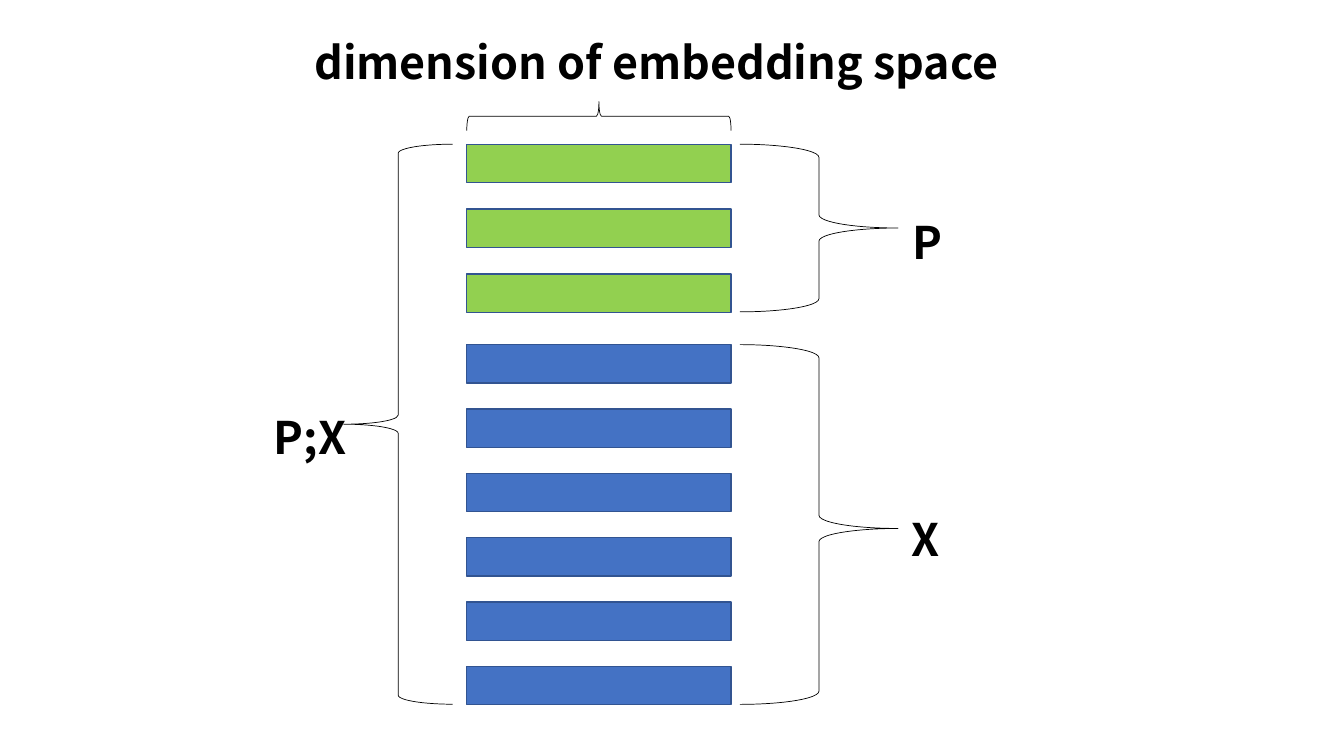
from pptx import Presentation, util as u
from pptx.dml.color import RGBColor
from pptx.enum import shapes, text

FONT = "Noto Sans CJK SC"
LEFT, WIDE, HIGH = 333.4, 188.8, 27.4
ROWS = [
    ("4472C4", 6, 246.2, 45.94),
    ("92D050", 3, 103, 46.4),
]
BRACES = [
    ("RIGHT_BRACE", (528.5, 246.2, 113, 257), 0, 0.511),
    ("RIGHT_BRACE", (528.5, 103, 113, 119.8), 0, 0.5),
    ("LEFT_BRACE", (245.5, 103, 77.8, 400), 0, 0.5),
    ("LEFT_BRACE", (417.4, -11.4, 20.8, WIDE), 90, 0.5),
]
LABELS = [
    ("P;X", (188.6, 289.4, 70.6, 46.1)),
    ("P", (644.4, 149.8, 67, 46.1)),
    ("X", (643.7, 362.2, 47.5, 46.1)),
    ("dimension of embedding space", (217.4, 21.6, 509, 46.1)),
]


def paint(part, color):
    part.solid()
    part.fore_color.rgb = RGBColor.from_string(color)


def draw(kind, box, fill, line, width):
    item = slide.shapes.add_shape(
        getattr(shapes.MSO_SHAPE, kind), *map(u.Pt, box))
    item.shadow.inherit = False
    if fill:
        paint(item.fill, fill)
    else:
        item.fill.background()
    paint(item.line.fill, line)
    item.line.width = u.Pt(width)
    return item


def label(words, box):
    frame = slide.shapes.add_textbox(*map(u.Pt, box)).text_frame
    frame.word_wrap = True
    frame.auto_size = text.MSO_AUTO_SIZE.SHAPE_TO_FIT_TEXT
    run = frame.paragraphs[0].add_run()
    run.text = words
    run.font.name = FONT
    run.font.size = u.Pt(32)
    run.font.bold = True
    paint(run.font.fill, "000000")


deck = Presentation()
deck.slide_width, deck.slide_height = u.Pt(960), u.Pt(540)
slide = deck.slides.add_slide(deck.slide_layouts[6])

for color, count, top, step in ROWS:
    for row in range(count):
        draw("RECTANGLE", (LEFT, top + row * step, WIDE, HIGH),
             color, "325491", 1)

for kind, box, turn, point in BRACES:
    brace = draw(kind, box, None, "000000", 0.5)
    brace.rotation = turn
    brace.adjustments[0] = 0.08333
    brace.adjustments[1] = point

for words, box in LABELS:
    label(words, box)

deck.save("out.pptx")
